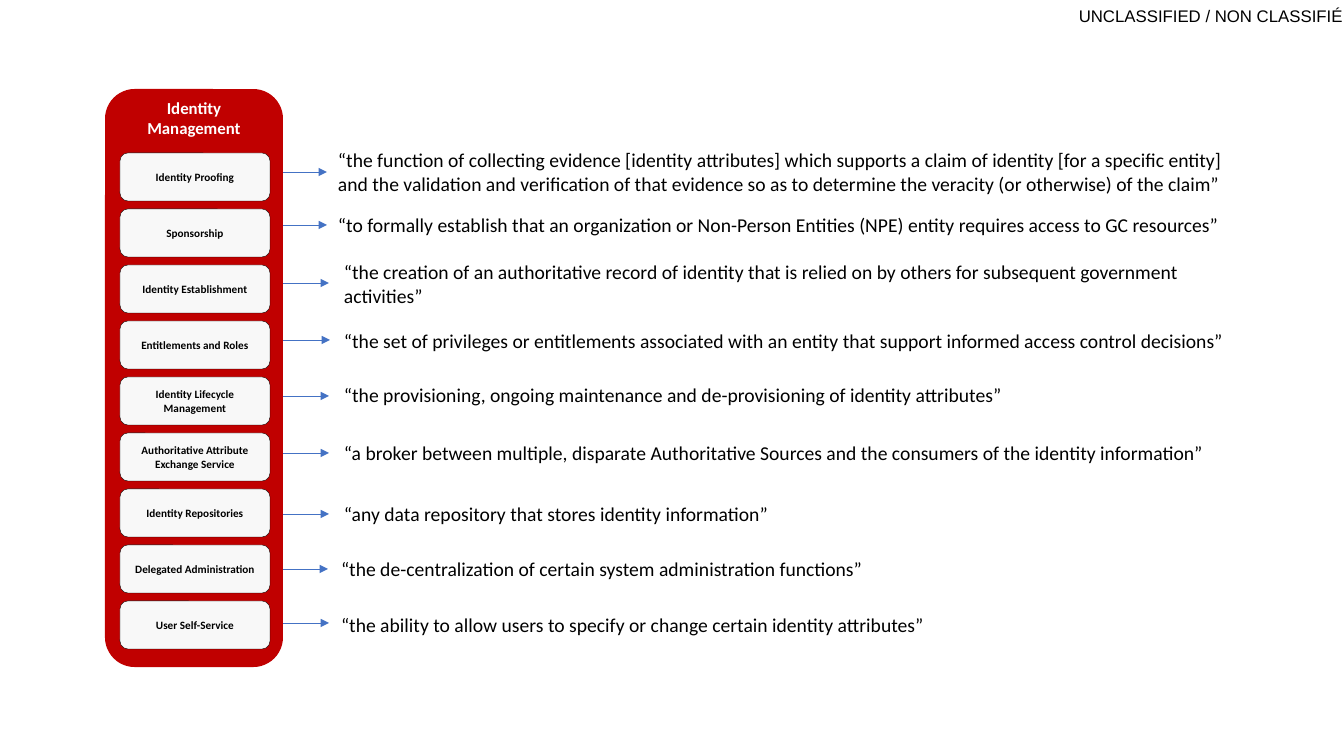
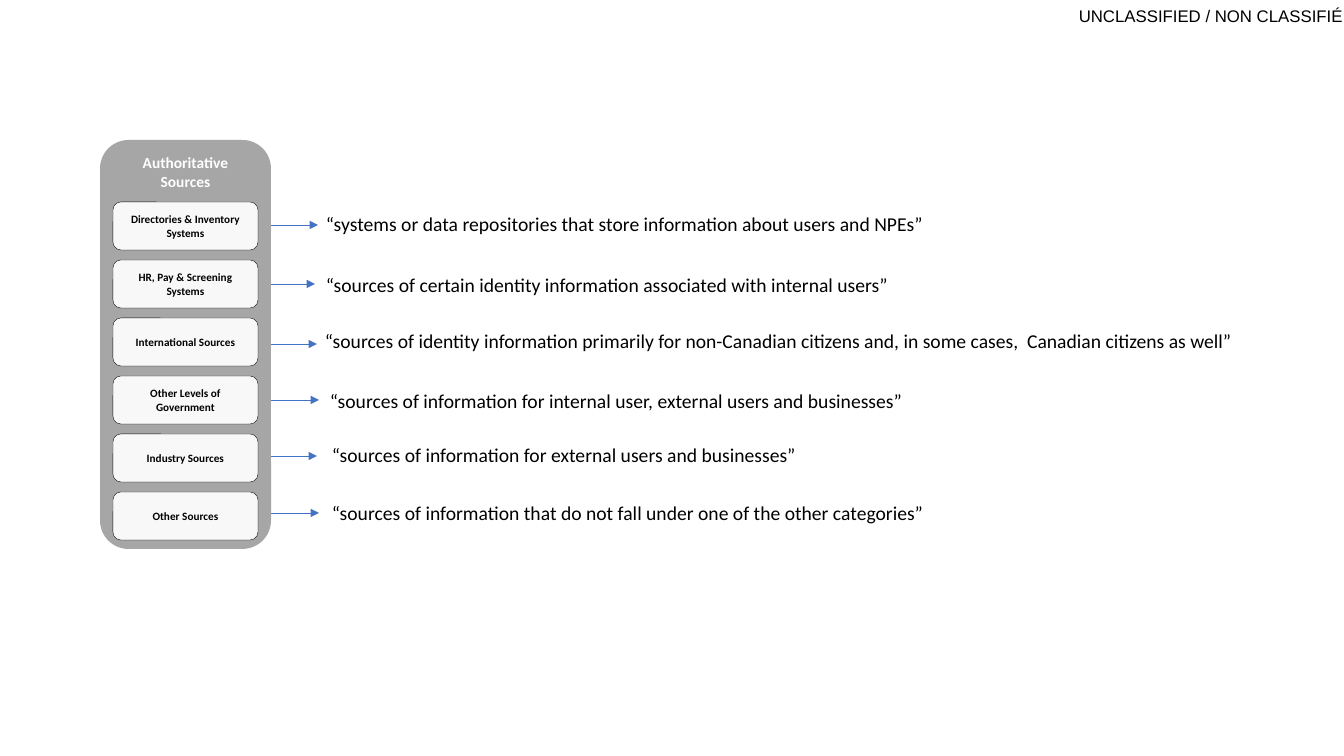
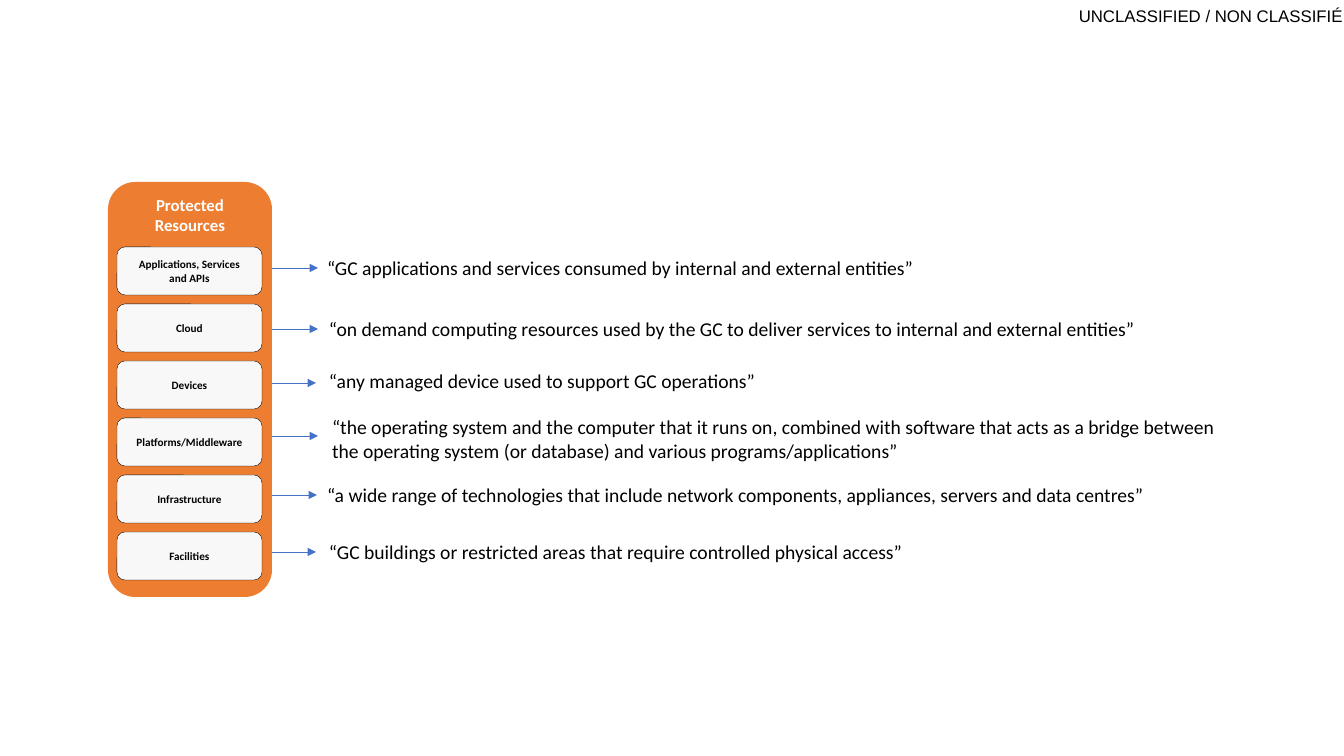
"""Build three slides that define the parts of an identity architecture."""
from lxml.etree import SubElement
from pptx import Presentation
from pptx.dml.color import RGBColor
from pptx.enum.shapes import MSO_CONNECTOR, MSO_SHAPE
from pptx.enum.text import MSO_ANCHOR, PP_ALIGN
from pptx.oxml.ns import qn
from pptx.util import Pt

SCALE = 914400 / 100.8
COLORS = {
    "text": "000000",
    "title": "FFFFFF",
    "card": "F8F8F8",
    "arrow": "4472C4",
    "identity": "C00000",
    "sources": "A6A6A6",
    "resources": "ED7D31",
}
CARD_HEIGHT = 48
ARROW_LENGTH = 48
LINE_HEIGHT = 24


def px(*lengths):
    return [round(length * SCALE) for length in lengths]


def write_text(shape, text, size=14, font="Calibri", color="text", bold=False,
               align=PP_ALIGN.LEFT, anchor=MSO_ANCHOR.TOP, insets=(10, 5)):
    frame = shape.text_frame
    frame.word_wrap = True
    frame.vertical_anchor = anchor
    frame.margin_left, frame.margin_top = px(*insets)
    frame.margin_right, frame.margin_bottom = px(*insets)
    paragraph = frame.paragraphs[0]
    paragraph.alignment = align
    run = paragraph.add_run()
    run.text = text
    run.font.size = Pt(size)
    run.font.name = font
    run.font.bold = bold
    run.font.color.rgb = RGBColor.from_string(COLORS[color])


# Row fields: label, definition, line count, text left, text top, arrow left, arrow y
groups = [
    {
        "title": "Identity Management", "color": "identity", "title_size": 12,
        "insets": (5, 0), "panel": (105, 89, 178, 578),
        "card_left": 120, "card_top": 153, "card_width": 150, "pitch": 56,
        "text_width": 915,
        "rows": [
            ("Identity Proofing",
             "“the function of collecting evidence [identity attributes] which supports "
             "a claim of identity [for a specific entity] and the validation and "
             "verification of that evidence so as to determine the veracity "
             "(or otherwise) of the claim”", 2, 328, 143, 279, 172),
            ("Sponsorship",
             "“to formally establish that an organization or Non-Person Entities (NPE) "
             "entity requires access to GC resources”", 1, 328, 208, 279, 225),
            ("Identity Establishment",
             "“the creation of an authoritative record of\u00a0identity\u00a0that is "
             "relied on by others for subsequent government activities”",
             2, 334, 255, 281, 283),
            ("Entitlements and Roles",
             "“the set of privileges or entitlements associated with an entity that "
             "support informed access control decisions”", 1, 334, 324, 282, 340),
            ("Identity Lifecycle Management",
             "“the provisioning, ongoing maintenance and de-provisioning of identity "
             "attributes”", 1, 334, 378, 281, 396),
            ("Authoritative Attribute Exchange Service",
             "“a broker between multiple, disparate Authoritative Sources and the "
             "consumers of the identity information”", 1, 334, 436, 281, 453),
            ("Identity Repositories",
             "“any data repository that stores identity information”",
             1, 334, 497, 281, 514),
            ("Delegated Administration",
             "“the de-centralization of certain system administration functions”",
             1, 331, 552, 280, 569),
            ("User Self-Service",
             "“the ability to allow users to specify or change certain identity "
             "attributes”", 1, 331, 608, 281, 623),
        ],
    },
    {
        "title": "Authoritative Sources", "color": "sources", "title_size": 11,
        "insets": (10, 5), "panel": (100, 140, 171, 409),
        "card_left": 113, "card_top": 202, "card_width": 145, "pitch": 58,
        "text_width": 928,
        "rows": [
            ("Directories & Inventory Systems",
             "“systems or data repositories that store information about users and "
             "NPEs”", 1, 316, 207, 270, 225),
            ("HR, Pay & Screening Systems",
             "“sources of certain identity information associated with internal users”",
             1, 316, 268, 267, 284),
            ("International Sources",
             "“sources of identity information primarily for non-Canadian citizens and, "
             "in some cases,  Canadian citizens as well”", 1, 315, 324, 269, 344),
            ("Other Levels of Government",
             "“sources of information for internal user, external users and businesses”",
             1, 320, 384, 271, 400),
            ("Industry Sources",
             "“sources of information for external users and businesses”",
             1, 322, 438, 269, 456),
            ("Other Sources",
             "“sources of information that do not fall under one of the other "
             "categories”", 1, 322, 496, 271, 513),
        ],
    },
    {
        "title": "Protected Resources", "color": "resources", "title_size": 12,
        "insets": (10, 5), "panel": (108, 182, 164, 415),
        "card_left": 117, "card_top": 247, "card_width": 145, "pitch": 57,
        "text_width": 915,
        "rows": [
            ("Applications, Services and APIs",
             "“GC applications and services consumed by internal and external entities”",
             1, 317, 251, 270, 268),
            ("Cloud",
             "“on demand computing resources used by the GC to deliver services to "
             "internal and external entities”", 1, 319, 312, 270, 329),
            ("Devices", "“any managed device used to support GC operations”",
             1, 319, 364, 268, 383),
            ("Platforms/Middleware",
             "“the operating system and the computer that it runs on, combined with "
             "software that acts as a bridge between the operating system "
             "(or database) and various programs/applications”",
             2, 322, 410, 270, 436),
            ("Infrastructure",
             "“a wide range of technologies that include network components, "
             "appliances, servers and data centres”", 1, 317, 478, 269, 495),
            ("Facilities",
             "“GC buildings or restricted areas that require controlled physical "
             "access”", 1, 319, 535, 268, 552),
        ],
    },
]

presentation = Presentation()
presentation.slide_width, presentation.slide_height = px(1344, 756)

for group in groups:
    slide = presentation.slides.add_slide(presentation.slide_layouts[6])
    marking = slide.shapes.add_textbox(*px(1039, 0, 304, 31))
    write_text(marking, "UNCLASSIFIED / NON CLASSIFIÉ", size=12, font="Arial",
               align=PP_ALIGN.RIGHT, anchor=MSO_ANCHOR.MIDDLE, insets=(0, 0))

    for label, definition, lines, text_left, text_top, arrow_left, arrow_y in group["rows"]:
        definition_box = slide.shapes.add_textbox(
            *px(text_left, text_top, group["text_width"], 10 + LINE_HEIGHT * lines))
        write_text(definition_box, definition)
        arrow = slide.shapes.add_connector(
            MSO_CONNECTOR.STRAIGHT,
            *px(arrow_left, arrow_y, arrow_left + ARROW_LENGTH, arrow_y))
        arrow.line.color.rgb = RGBColor.from_string(COLORS["arrow"])
        arrow.line.width = Pt(0.5)
        SubElement(arrow.line._get_or_add_ln(), qn("a:tailEnd"), type="triangle")
        SubElement(arrow._element.spPr, qn("a:effectLst"))

    panel = slide.shapes.add_shape(MSO_SHAPE.ROUNDED_RECTANGLE, *px(*group["panel"]))
    panel.shadow.inherit = False
    panel.fill.solid()
    panel.fill.fore_color.rgb = RGBColor.from_string(COLORS[group["color"]])
    panel.line.fill.background()
    write_text(panel, group["title"], size=group["title_size"], color="title", bold=True,
               align=PP_ALIGN.CENTER, insets=group["insets"])

    for index, row in enumerate(group["rows"]):
        card_top = group["card_top"] + index * group["pitch"]
        card = slide.shapes.add_shape(
            MSO_SHAPE.ROUNDED_RECTANGLE,
            *px(group["card_left"], card_top, group["card_width"], CARD_HEIGHT))
        card.shadow.inherit = False
        card.fill.solid()
        card.fill.fore_color.rgb = RGBColor.from_string(COLORS["card"])
        card.line.color.rgb = RGBColor.from_string(COLORS["text"])
        card.line.width = Pt(0.25)
        write_text(card, row[0], size=8, bold=True, align=PP_ALIGN.CENTER,
                   anchor=MSO_ANCHOR.MIDDLE)

presentation.save("out.pptx")
